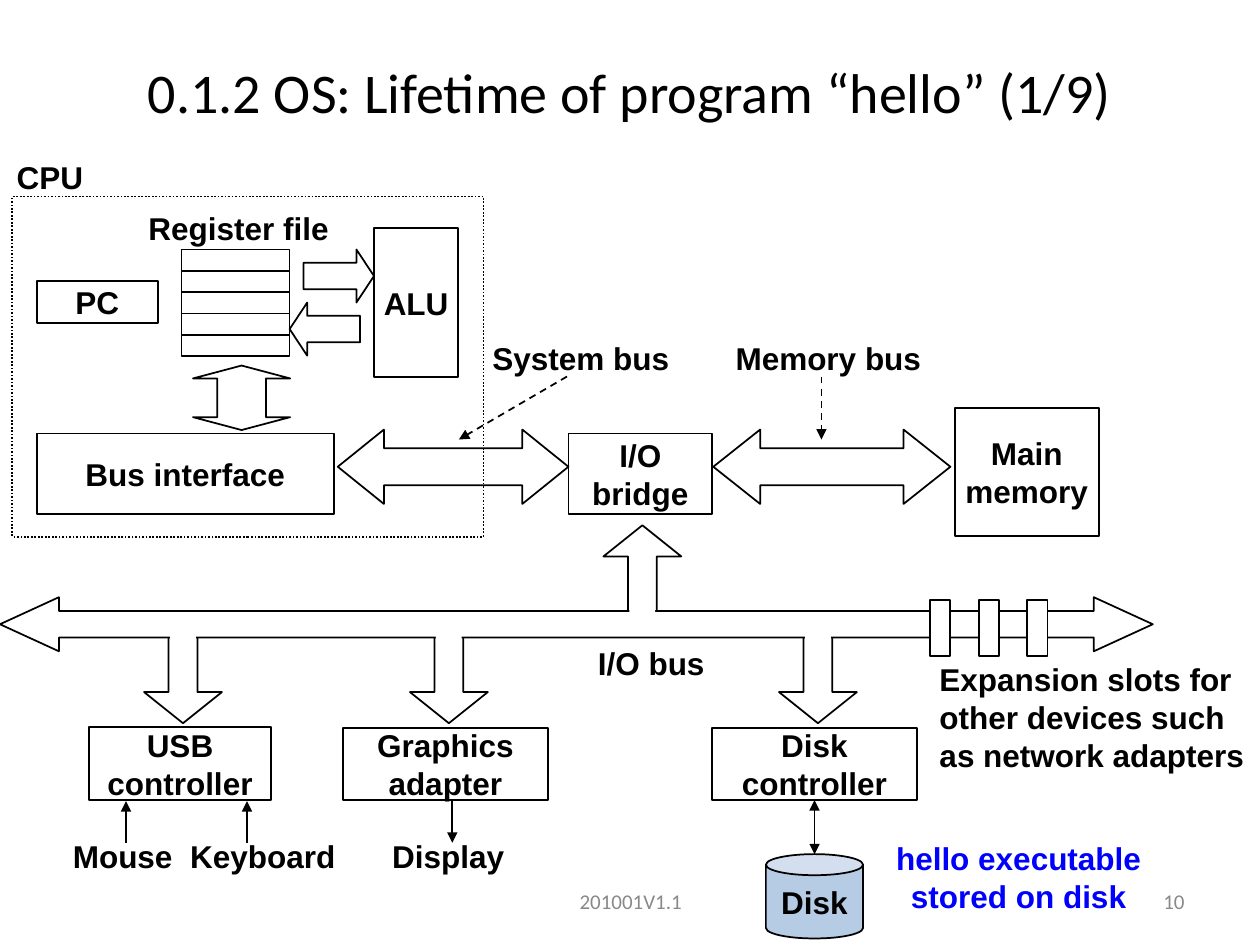
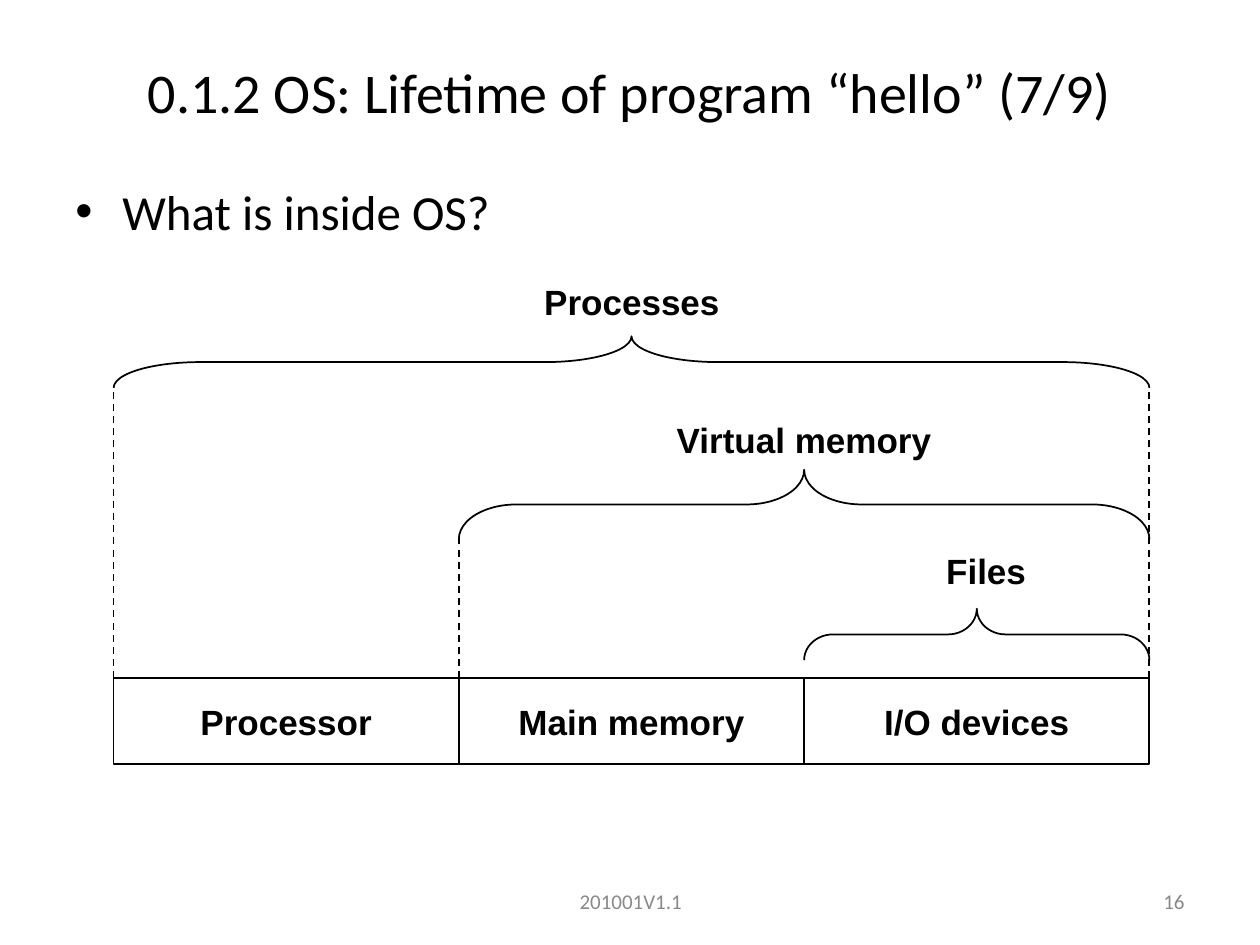
from lxml.etree import SubElement
from pptx import Presentation
from pptx.dml.color import RGBColor
from pptx.enum.dml import MSO_LINE
from pptx.enum.shapes import MSO_CONNECTOR, MSO_SHAPE as Shape
from pptx.enum.text import MSO_ANCHOR as Anchor, PP_ALIGN as Align
from pptx.oxml.ns import qn
from pptx.util import Cm, Pt

BLACK = RGBColor(0, 0, 0)
WHITE = RGBColor(255, 255, 255)
GREY = RGBColor(0x89, 0x89, 0x89)
BLUE = RGBColor(0, 0, 255)
DISK_BLUE = RGBColor(0xB6, 0xCB, 0xE4)

TITLE = "0.1.2 OS: Lifetime of program “hello” ({}/9)"
FOOTER = "201001V1.1"

HARDWARE = [
    ("Main\nmemory", 19.25, 8.23, 2.9, 2.57),
    ("I/O\nbridge", 11.46, 8.74, 2.9, 1.63),
    ("Bus interface", 0.74, 8.74, 5.99, 1.63),
    ("ALU", 7.54, 4.6, 1.7, 3),
    ("PC", 0.74, 5.66, 2.44, 0.86),
    ("USB\ncontroller", 1.8, 14.66, 3.66, 1.47),
    ("Graphics\nadapter", 6.91, 14.68, 4.14, 1.45),
    ("Disk\ncontroller", 14.35, 14.68, 4.14, 1.45),
]
CPU_FRAME = (0.25, 3.96, 9.5, 6.86)
REGISTER_COUNT = 5
REGISTER_LEFT, REGISTER_TOP, REGISTER_WIDTH, REGISTER_HEIGHT = 3.66, 5.03, 2.18, 0.43

BLOCK_ARROWS = [
    (Shape.LEFT_RIGHT_ARROW, 14.38, 8.66, 4.78, 1.5, (0.5, 0.63), 0),
    (Shape.LEFT_RIGHT_ARROW, 6.81, 8.66, 4.65, 1.5, (0.5, 0.62), 0),
    (Shape.RIGHT_ARROW, 6.12, 5.03, 1.42, 1.07, (0.5, 0.33), 0),
    (Shape.LEFT_ARROW, 5.84, 6.1, 1.42, 1.07, (0.5, 0.33), 0),
    (Shape.LEFT_RIGHT_ARROW, 4.22, 7.04, 1.3, 1.96, (0.5, 0.2), 90),
]
IO_BUS = (0, 12.04, 23.24, 1.09)
BRANCH_WIDTH, BRANCH_HEIGHT = 1.57, 1.93
PATCH_WIDTH, PATCH_HEIGHT = 0.52, 0.43
BRANCHES = [
    (Shape.UP_ARROW, 12.95, 10.59, 12.29),
    (Shape.DOWN_ARROW, 3.69, 12.65, 12.52),
    (Shape.DOWN_ARROW, 9.05, 12.65, 12.52),
    (Shape.DOWN_ARROW, 16.49, 12.65, 12.47),
]
SLOT_COUNT, SLOT_LEFT, SLOT_PITCH = 3, 18.75, 0.98

LABELS = [
    ("CPU", 0.08, 3.05, 1.85, 1.02, Align.CENTER, BLACK),
    ("Register file", 2.49, 4.09, 4.64, 1.02, Align.CENTER, BLACK),
    ("System bus", 9.43, 6.71, 4.56, 1.02, Align.CENTER, BLACK),
    ("Memory bus", 14.33, 6.71, 4.74, 1.02, Align.CENTER, BLACK),
    ("I/O bus", 11.46, 12.85, 3.34, 1.02, Align.CENTER, BLACK),
    ("Mouse", 0.97, 16.74, 3.01, 1.02, Align.CENTER, BLACK),
    ("Keyboard", 3.3, 16.74, 4, 1.02, Align.CENTER, BLACK),
    ("Display", 7.4, 16.74, 3.27, 1.02, Align.CENTER, BLACK),
    ("Expansion slots for\nother devices such\nas network adapters",
     18.69, 13.18, 6.71, 2.54, Align.LEFT, BLACK),
    ("hello executable\nstored on disk", 17.73, 16.79, 5.61, 1.78, Align.CENTER, BLUE),
]
POINTERS = [
    (11.43, 7.59, 9.25, 8.86, True),
    (16.56, 7.59, 16.56, 8.86, True),
    (2.54, 16.99, 2.54, 16.15, False),
    (4.98, 16.99, 4.98, 16.15, False),
    (9.12, 16.15, 9.12, 16.99, False),
]
DISK_TOP, DISK_WIDTH, DISK_HEIGHT = 17.22, 1.96, 1.7

QUESTION = "What is inside OS?"
PARTS = ["Processor", "Main memory", "I/O devices"]
PART_LEFT, PART_TOP, PART_WIDTH, PART_HEIGHT = 2.29, 13.67, 6.96, 1.73
LABEL_WIDTH = 6.5
ABSTRACTIONS = [
    ("Processes", 0, 12.74, 5.51, 6.78, 1.04),
    ("Virtual memory", 1, 16.21, 8.31, 9.47, 1.4),
    ("Files", 2, 19.88, 10.95, 12.27, 1.04),
]


def write(box, text, size, color=BLACK, name="Arial", bold=True,
          align=Align.CENTER, anchor=Anchor.MIDDLE, wrap=False):
    frame = box.text_frame
    frame.word_wrap = wrap
    frame.vertical_anchor = anchor
    frame.text = text
    for para in frame.paragraphs:
        para.alignment = align
        for span in para.runs:
            span.font.size = Pt(size)
            span.font.name = name
            span.font.bold = bold
            span.font.color.rgb = color


def add_label(page, text, left, top, width, height, size, **style):
    box = page.shapes.add_textbox(Cm(left), Cm(top), Cm(width), Cm(height))
    write(box, text, size, **style)
    return box


def add_block(page, kind, left, top, width, height, fill=None, outlined=True, adjust=()):
    block = page.shapes.add_shape(kind, Cm(left), Cm(top), Cm(width), Cm(height))
    block.shadow.inherit = False
    if fill is None:
        block.fill.background()
    else:
        block.fill.solid()
        block.fill.fore_color.rgb = fill
    if outlined:
        block.line.color.rgb = BLACK
        block.line.width = Pt(1)
    else:
        block.line.fill.background()
    for index, value in enumerate(adjust):
        block.adjustments[index] = value
    return block


def add_line(page, x1, y1, x2, y2, dashed=False, ends=()):
    line = page.shapes.add_connector(MSO_CONNECTOR.STRAIGHT, Cm(x1), Cm(y1), Cm(x2), Cm(y2))
    line.line.color.rgb = BLACK
    line.line.width = Pt(1)
    if dashed:
        line.line.dash_style = MSO_LINE.DASH
    properties = line._element.spPr
    for end in ends:
        SubElement(properties.find(qn("a:ln")), qn(f"a:{end}"), type="triangle")
    SubElement(properties, qn("a:effectLst"))
    return line


def add_page(deck, part, number):
    page = deck.slides.add_slide(deck.slide_layouts[6])
    plain = dict(name="Calibri", bold=False, wrap=True)
    add_label(page, TITLE.format(part), 0, 0.76, 25.4, 2.16, 32, **plain)
    add_label(page, FOOTER, 8.69, 17.65, 8.05, 1.02, 12, color=GREY, **plain)
    add_label(page, str(number), 18.21, 17.65, 5.92, 1.02, 12,
              color=GREY, align=Align.RIGHT, **plain)
    return page


def build_hardware(page):
    boxes = {}
    for text, *place in HARDWARE:
        boxes[text] = add_block(page, Shape.RECTANGLE, *place)
        write(boxes[text], text, 18)
    frame = add_block(page, Shape.RECTANGLE, *CPU_FRAME)
    frame.line.dash_style = MSO_LINE.ROUND_DOT
    for row in range(REGISTER_COUNT):
        add_block(page, Shape.RECTANGLE, REGISTER_LEFT, REGISTER_TOP + row * REGISTER_HEIGHT,
                  REGISTER_WIDTH, REGISTER_HEIGHT)
    for kind, left, top, width, height, adjust, turn in BLOCK_ARROWS:
        arrow = add_block(page, kind, left, top, width, height, adjust=adjust)
        arrow.rotation = turn

    for kind, center, top, _ in BRANCHES:
        add_block(page, kind, center - BRANCH_WIDTH / 2, top, BRANCH_WIDTH, BRANCH_HEIGHT,
                  adjust=(0.37, 0.4))
    add_block(page, Shape.LEFT_RIGHT_ARROW, *IO_BUS, fill=WHITE, adjust=(0.49, 1.09))
    for _, center, _, patch_top in BRANCHES:
        add_block(page, Shape.RECTANGLE, center - PATCH_WIDTH / 2, patch_top,
                  PATCH_WIDTH, PATCH_HEIGHT, fill=WHITE, outlined=False)
    for slot in range(SLOT_COUNT):
        add_block(page, Shape.RECTANGLE, SLOT_LEFT + slot * SLOT_PITCH, 12.09, 0.41, 1.14,
                  fill=WHITE)

    for text, left, top, width, height, align, color in LABELS:
        add_label(page, text, left, top, width, height, 18, align=align, color=color)
    for x1, y1, x2, y2, dashed in POINTERS:
        add_line(page, x1, y1, x2, y2, dashed, ["tailEnd"])

    controller = boxes["Disk\ncontroller"]
    center = (controller.left + controller.width / 2) / Cm(1)
    disk = add_block(page, Shape.CAN, center - DISK_WIDTH / 2, DISK_TOP,
                     DISK_WIDTH, DISK_HEIGHT, fill=DISK_BLUE, adjust=(0.25,))
    write(disk, "Disk", 18)
    cable = add_line(page, center, 16.13, center, DISK_TOP, ends=["headEnd", "tailEnd"])
    cable.begin_connect(controller, 2)


def build_abstractions(page):
    body = add_label(page, QUESTION, 1.27, 3.53, 22.86, 13.49, 28, name="Calibri",
                     bold=False, align=Align.LEFT, anchor=Anchor.TOP, wrap=True)
    properties = body.text_frame.paragraphs[0]._p.get_or_add_pPr()
    properties.set("marL", str(Cm(0.95)))
    properties.set("indent", str(-Cm(0.95)))
    SubElement(properties, qn("a:buFont"), typeface="Arial")
    SubElement(properties, qn("a:buChar"), char="•")

    for column, text in enumerate(PARTS):
        box = add_block(page, Shape.RECTANGLE, PART_LEFT + column * PART_WIDTH, PART_TOP,
                        PART_WIDTH, PART_HEIGHT)
        write(box, text, 20)

    right = PART_LEFT + len(PARTS) * PART_WIDTH
    for text, first, label_center, label_top, brace_top, depth in ABSTRACTIONS:
        left = PART_LEFT + first * PART_WIDTH
        length = right - left
        center = (left + right) / 2
        brace = add_block(page, Shape.LEFT_BRACE, center - depth / 2,
                          brace_top + depth / 2 - length / 2, depth, length,
                          adjust=(length / 12 / depth, 0.5))
        brace.rotation = 90
        add_label(page, text, label_center - LABEL_WIDTH / 2, label_top, LABEL_WIDTH, 1.12, 20)
        drops = {0: [left, right], 1: [left]}.get(first, [])
        for x in drops:
            add_line(page, x, PART_TOP, x, brace_top + depth, dashed=True)


def main():
    deck = Presentation()
    deck.slide_width, deck.slide_height = Cm(25.4), Cm(19.05)
    build_hardware(add_page(deck, 1, 10))
    build_abstractions(add_page(deck, 7, 16))
    deck.save("out.pptx")


if __name__ == "__main__":
    main()
